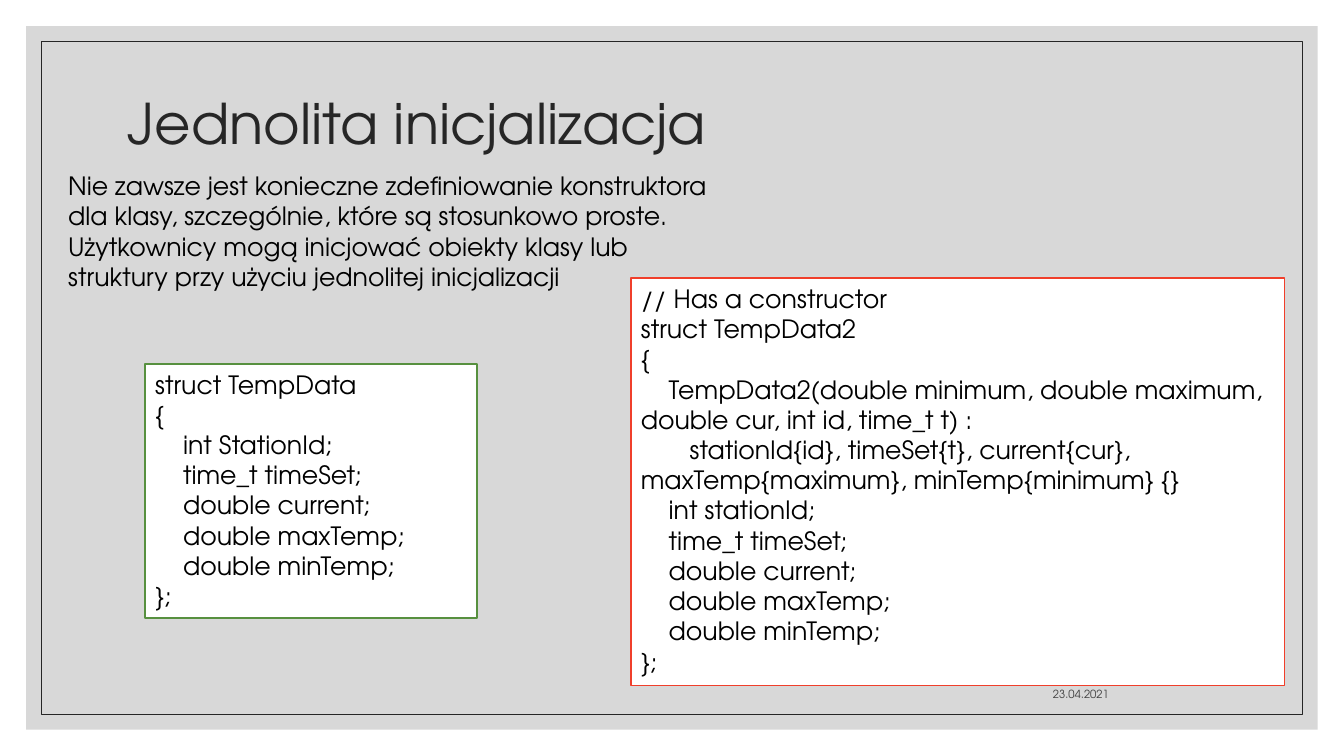
from lxml.etree import SubElement
from pptx import Presentation
from pptx.dml.color import RGBColor as Rgb
from pptx.enum.shapes import MSO_SHAPE as Shape
from pptx.enum.text import MSO_ANCHOR as Anchor, MSO_AUTO_SIZE as Auto, PP_ALIGN as Align
from pptx.oxml.ns import qn
from pptx.util import Cm, Pt

TITLE = "Jednolita inicjalizacja"
DATE = "23.04.2021"
NOTE = (
    "Nie zawsze jest konieczne zdefiniowanie konstruktora dla klasy, "
    "szczególnie, które są stosunkowo proste. Użytkownicy mogą inicjować "
    "obiekty klasy lub struktury przy użyciu jednolitej inicjalizacji"
)
FIELDS = [
    "    time_t timeSet;",
    "    double current;",
    "    double maxTemp;",
    "    double minTemp;",
    "};",
]
BUILT = [
    "// Has a constructor",
    "struct TempData2",
    "{",
    "    TempData2(double minimum, double maximum, double cur, int id, time_t t) :",
    "       stationId{id}, timeSet{t}, current{cur}, maxTemp{maximum}, minTemp{minimum} {}",
    "    int stationId;",
    *FIELDS,
]
PLAIN = ["struct TempData", "{", "    int StationId;", *FIELDS]
CODES = [
    (BUILT, "red", (15.9, 7.01, 16.48, 10.26)),
    (PLAIN, "green", (3.66, 9.17, 8.36, 6.4)),
]

FONT = "TeX Gyre Adventor"
HUES = {
    "panel": "BFBFBF",
    "dark": "262626",
    "grey": "404040",
    "black": "000000",
    "white": "FFFFFF",
    "red": "F03F2B",
    "green": "57903F",
}
WIDE, HIGH = 33.87, 19.05


def hue(name):
    return Rgb.from_string(HUES[name])


def write(shape, lines, size=18, color="black", align=Align.LEFT, anchor=Anchor.TOP):
    frame = shape.text_frame
    frame.text = "\n".join(lines)
    frame.word_wrap = True
    frame.auto_size = Auto.NONE
    frame.vertical_anchor = anchor
    for para in frame.paragraphs:
        para.alignment = align
        for run in para.runs:
            run.font.name = FONT
            run.font.size = Pt(size)
            run.font.color.rgb = hue(color)


def add_box(shapes, place, fill=None, line=None, width=1):
    box = shapes.add_shape(Shape.RECTANGLE, *map(Cm, place))
    box.shadow.inherit = False
    if fill:
        box.fill.solid()
        box.fill.fore_color.rgb = hue(fill)
    else:
        box.fill.background()
    if line:
        box.line.color.rgb = hue(line)
        box.line.width = Pt(width)
    else:
        box.line.fill.background()
    return box


def add_text(shapes, place, text, **style):
    box = shapes.add_textbox(*map(Cm, place))
    write(box, [text], **style)


def inset(gap):
    return gap, gap, WIDE - 2 * gap, HIGH - 2 * gap


def main():
    deck = Presentation()
    deck.slide_width, deck.slide_height = Cm(WIDE), Cm(HIGH)
    shapes = deck.slides.add_slide(deck.slide_layouts[5]).shapes

    panel = add_box(shapes, inset(0.66), fill="panel")
    color = panel.fill._xPr.find(".//" + qn("a:srgbClr"))
    SubElement(color, qn("a:alpha"), val="60000")
    add_box(shapes, inset(1.04), line="dark", width=0.5)

    title = shapes.title
    title.left, title.top, title.width, title.height = map(Cm, (2.97, 1.27, 27.94, 3.81))
    write(title, [TITLE], size=40, color="dark", anchor=Anchor.MIDDLE)
    title.text_frame.paragraphs[0].line_spacing = 0.9
    shapes._spTree.append(title._element)

    add_text(shapes, (20.17, 16.76, 8.03, 1.02), DATE,
             size=8, color="grey", align=Align.RIGHT, anchor=Anchor.BOTTOM)
    add_text(shapes, (1.47, 4.17, 16.94, 3.33), NOTE)
    for lines, edge, place in CODES:
        write(add_box(shapes, place, fill="white", line=edge), lines)

    deck.save("out.pptx")


if __name__ == "__main__":
    main()
